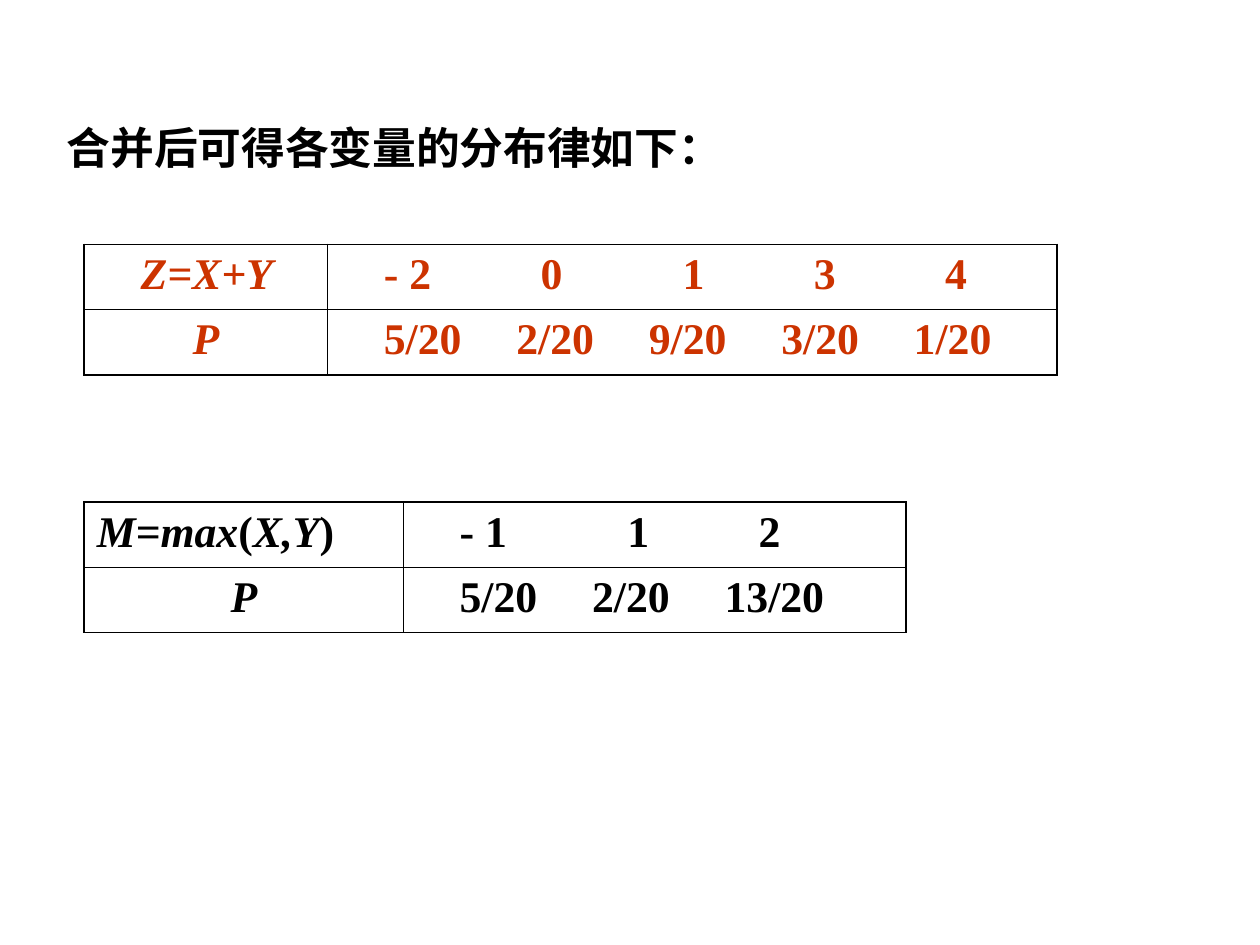
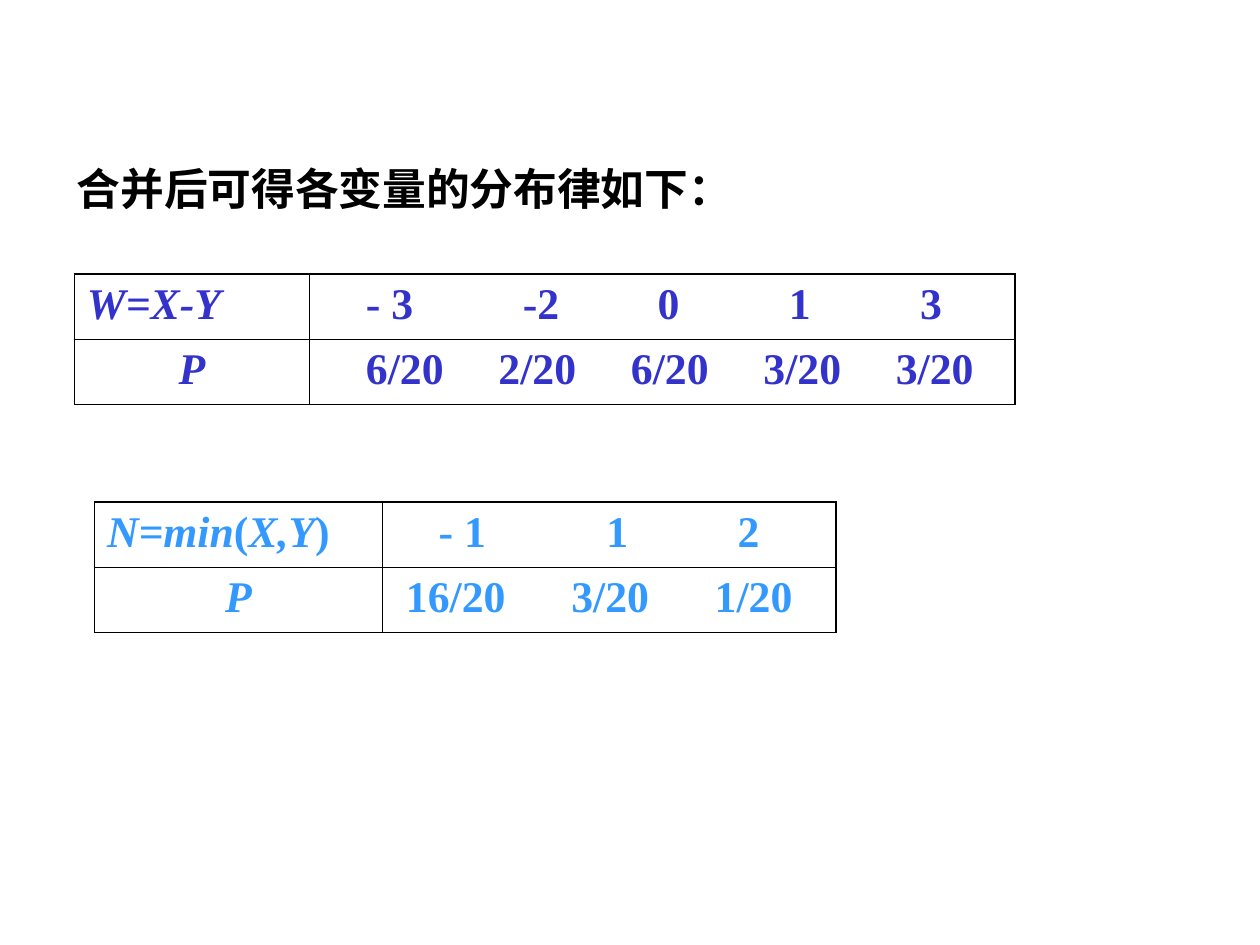
from dataclasses import dataclass
from itertools import groupby

from lxml.etree import SubElement as Sub
from pptx import Presentation as Deck
from pptx.dml.color import RGBColor as Rgb
from pptx.enum.text import MSO_AUTO_SIZE as Fit, PP_ALIGN as Align
from pptx.oxml.ns import qn
from pptx.slide import Slide
from pptx.util import Pt

BLACK = Rgb(0x00, 0x00, 0x00)
RED = Rgb(0xCC, 0x33, 0x00)
BLUE = Rgb(0x33, 0x33, 0xCC)
SKY = Rgb(0x33, 0x99, 0xFF)
BASE = {"name": "Times New Roman", "size": Pt(25), "bold": True}
TITLE = "合并后可得各变量的分布律如下："
PAD = 7.2
DEEP = 32.2
ROW = 37.2
STEP = 75.7
THICK = 1.08
THIN = 0.45


@dataclass(frozen=True)
class Line:
    items: tuple[str, ...]
    stops: tuple[float, ...]
    left: float = DEEP


@dataclass(frozen=True)
class Law:
    name: str
    color: Rgb
    spot: tuple[float, float]
    cols: tuple[float, float]
    vals: Line
    probs: Line
    left: float = PAD


@dataclass(frozen=True)
class Page:
    spot: tuple[float, float]
    laws: tuple[Law, ...]


def even(*items: str) -> Line:
    return Line(items, tuple(STEP * n for n in range(1, len(items))))


ENDS = Line(("- 1", "1", "2"), (95.8, 170.8))
PAGES = (
    Page((31, 65.5), (
        Law("Z=X+Y", RED, (48.2, 139.7), (139, 416.9),
            Line(("- 2", "0", "1", "3", "4"), (89.6, 170.8, 245.8, 320.8)),
            even("5/20", "2/20", "9/20", "3/20", "1/20"), DEEP),
        Law("M=max(X,Y)", BLACK, (48.2, 287), (182.3, 287.3),
            ENDS, even("5/20", "2/20", "13/20")),
    )),
    Page((36.7, 88.6), (
        Law("W=X-Y", BLUE, (42.5, 156.7), (134.5, 403.2),
            Line(("- 3", "-2", "0", "1", "3"), (89.6, 166.7, 241.7, 316.7)),
            even("6/20", "2/20", "6/20", "3/20", "3/20")),
        Law("N=min(X,Y)", SKY, (54, 287), (164.5, 259.4), ENDS,
            Line(("16/20", "3/20", "1/20"), (94.5, 176.4), 13.5)),
    )),
)


def write(para, text: str, color: Rgb, italic: bool = False) -> None:
    run = para.add_run()
    run.text = text
    for key, val in {**BASE, "italic": italic}.items():
        setattr(run.font, key, val)
    run.font.color.rgb = color


def formula(para, text: str, color: Rgb) -> None:
    for plain, part in groupby(text, lambda sign: sign in "()"):
        write(para, "".join(part), color, not plain)


def tabbed(cell, line: Line, color: Rgb) -> None:
    cell.margin_left = Pt(line.left)
    para = cell.text_frame.paragraphs[0]
    tabs = Sub(para._p.get_or_add_pPr(), qn("a:tabLst"))
    for stop in line.stops:
        Sub(tabs, qn("a:tab"), pos=str(Pt(stop)), algn="l")
    write(para, "\t".join(line.items), color)


def frame(cell, row: int, col: int) -> None:
    cell.fill.background()
    props = cell._tc.get_or_add_tcPr()
    outer = {"lnL": col == 0, "lnR": col == 1, "lnT": row == 0, "lnB": row == 1}
    for spot, (tag, edge) in enumerate(outer.items()):
        side = Sub(props, qn(f"a:{tag}"), w=str(Pt(THICK if edge else THIN)))
        Sub(Sub(side, qn("a:solidFill")), qn("a:srgbClr"), val=str(BLACK))
        props.insert(spot, side)


def draw(slide: Slide, law: Law) -> None:
    box = (*law.spot, sum(law.cols), 2 * ROW)
    grid = slide.shapes.add_table(2, 2, *map(Pt, box)).table
    grid.first_row = grid.horz_banding = False
    for col, width in zip(grid.columns, law.cols):
        col.width = Pt(width)
    for row, line in enumerate((law.vals, law.probs)):
        grid.rows[row].height = Pt(ROW)
        for col in range(2):
            frame(grid.cell(row, col), row, col)
        tabbed(grid.cell(row, 1), line, law.color)
    head, prob = grid.cell(0, 0), grid.cell(1, 0)
    head.margin_left = Pt(law.left)
    formula(head.text_frame.paragraphs[0], law.name, law.color)
    para = prob.text_frame.paragraphs[0]
    para.alignment = Align.CENTER
    formula(para, "P", law.color)


def title(slide: Slide, spot: tuple[float, float]) -> None:
    box = slide.shapes.add_textbox(*map(Pt, (*spot, 390.2, 37.4)))
    box.text_frame.word_wrap = False
    box.text_frame.auto_size = Fit.SHAPE_TO_FIT_TEXT
    write(box.text_frame.paragraphs[0], TITLE, BLACK)


def main() -> None:
    deck = Deck()
    deck.slide_width, deck.slide_height = Pt(720), Pt(540)
    for page in PAGES:
        slide = deck.slides.add_slide(deck.slide_layouts[6])
        title(slide, page.spot)
        for law in page.laws:
            draw(slide, law)
    deck.save("out.pptx")


if __name__ == "__main__":
    main()
